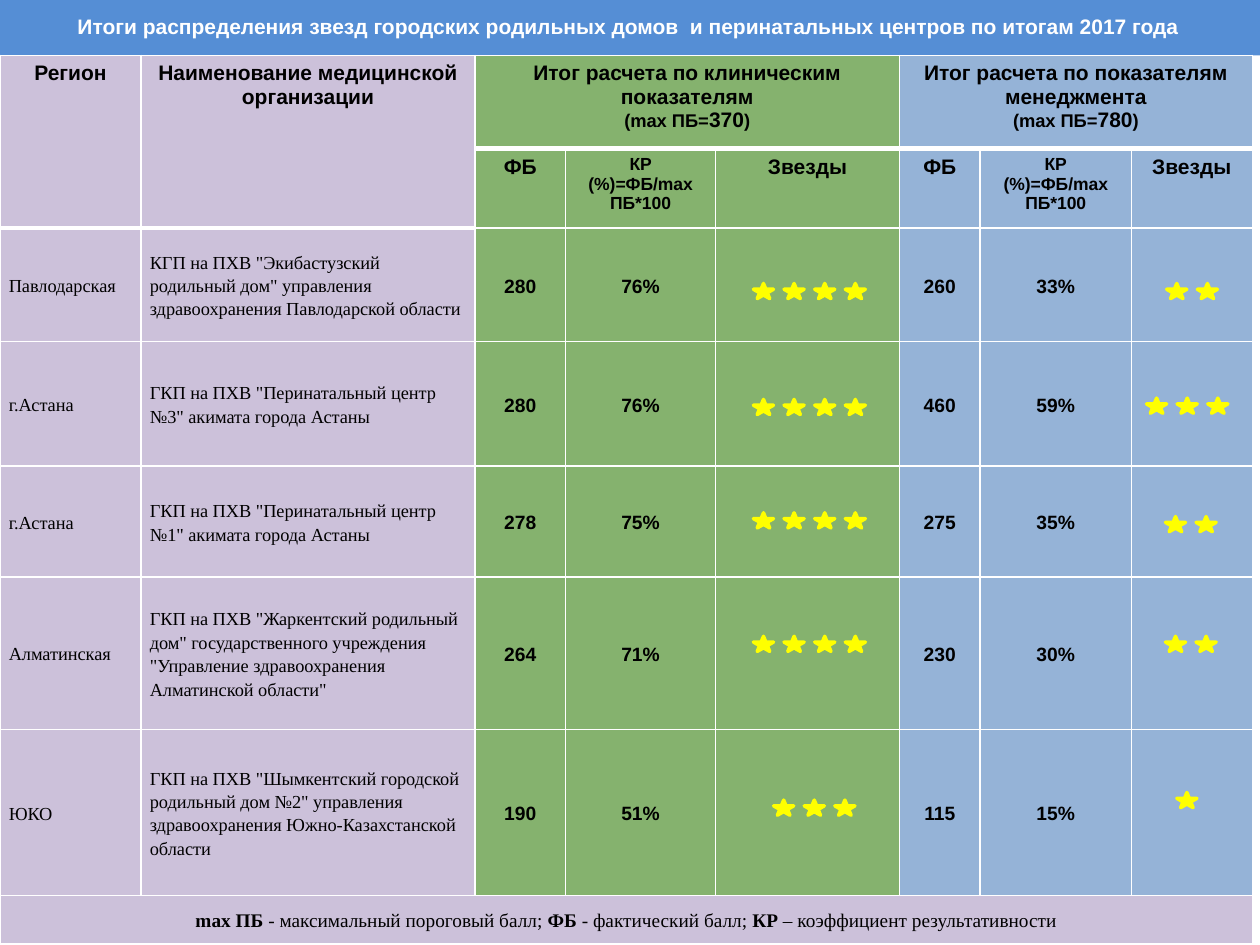
from typing import NamedTuple

from lxml.etree import SubElement
from pptx import Presentation
from pptx.dml.color import RGBColor
from pptx.enum.shapes import MSO_SHAPE as Shape
from pptx.enum.text import MSO_ANCHOR as Anchor, MSO_AUTO_SIZE as AutoSize, PP_ALIGN as Align
from pptx.oxml.ns import qn
from pptx.util import Inches, Pt

COLORS = {
    "title": "558ED5",
    "lilac": "CCC1DA",
    "green": "85B26E",
    "blue": "95B3D7",
    "white": "FFFFFF",
    "black": "000000",
    "star": "FFFF00",
}
SANS, SERIF = "Arial", "Times New Roman"
COL_WIDTHS = [1.12, 2.65, 0.72, 1.19, 1.46, 0.64, 1.2, 0.96]
ROW_HEIGHTS = [0.74, 0.63, 0.9, 0.99, 0.88, 1.21, 1.32, 0.38]
COL_FILLS = ["lilac"] * 2 + ["green"] * 3 + ["blue"] * 3
STAR_W, STAR_H, STAR_STEP = 0.16, 0.12, 0.243


class Run(NamedTuple):
    text: str
    size: float = 12
    font: str = SANS
    bold: bool = True


class Stars(NamedTuple):
    count: int
    left: float
    top: float


class Score(NamedTuple):
    points: int
    percent: int
    stars: Stars


class Hospital(NamedTuple):
    region: str
    name: str
    clinical: Score
    management: Score


HOSPITALS = [
    Hospital("Павлодарская",
             'КГП на ПХВ "Экибастузский родильный дом" управления здравоохранения Павлодарской области',
             Score(280, 76, Stars(4, 5.98, 2.25)), Score(260, 33, Stars(2, 9.26, 2.25))),
    Hospital("г.Астана", 'ГКП на ПХВ "Перинатальный центр №3" акимата города Астаны',
             Score(280, 76, Stars(4, 5.98, 3.17)), Score(460, 59, Stars(3, 9.1, 3.16))),
    Hospital("г.Астана", 'ГКП на ПХВ "Перинатальный центр №1" акимата города Астаны',
             Score(278, 75, Stars(4, 5.98, 4.07)), Score(275, 35, Stars(2, 9.25, 4.1))),
    Hospital("Алматинская",
             'ГКП на ПХВ "Жаркентский родильный дом" государственного учреждения '
             '"Управление здравоохранения Алматинской области"',
             Score(264, 71, Stars(4, 5.98, 5.05)), Score(230, 30, Stars(2, 9.25, 5.05))),
    Hospital("ЮКО",
             'ГКП на ПХВ "Шымкентский городской родильный дом №2" управления '
             'здравоохранения Южно-Казахстанской области',
             Score(190, 51, Stars(3, 6.14, 6.35)), Score(115, 15, Stars(1, 9.34, 6.29))),
]
LEGEND = [
    Run("mах ПБ ", 11, SERIF),
    Run("- максимальный пороговый балл; ", 11, SERIF, False),
    Run("ФБ", 11, SERIF),
    Run(" - фактический балл; ", 11, SERIF, False),
    Run("КР", 11, SERIF),
    Run(" – коэффициент результативности", 11, SERIF, False),
]


def rgb(name: str) -> RGBColor:
    return RGBColor.from_string(COLORS[name])


def write(p, runs: list[Run], align=Align.CENTER, color: str = "black") -> None:
    p.alignment = align
    for run in runs:
        r = p.add_run()
        r.text = run.text
        r.font.size, r.font.name, r.font.bold = Pt(run.size), run.font, run.bold
        r.font.color.rgb = rgb(color)


def style_cell(cell, fill: str, bottom: float = 1) -> None:
    tc_pr = cell._tc.get_or_add_tcPr()
    for side, width in (("L", 1), ("R", 1), ("T", 1), ("B", bottom)):
        ln = SubElement(tc_pr, qn(f"a:ln{side}"), w=str(Pt(width)))
        solid = SubElement(ln, qn("a:solidFill"))
        SubElement(solid, qn("a:srgbClr"), val=COLORS["white"])
    cell.fill.solid()
    cell.fill.fore_color.rgb = rgb(fill)


def write_header(cell, *lines: list[Run]) -> None:
    tf = cell.text_frame
    for i, runs in enumerate(lines):
        write(tf.add_paragraph() if i else tf.paragraphs[0], runs)


def write_body(cell, runs: list[Run], align=Align.CENTER) -> None:
    cell.vertical_anchor = Anchor.MIDDLE
    cell.margin_left = cell.margin_right = Inches(0.07)
    cell.margin_top = cell.margin_bottom = 0
    p = cell.text_frame.paragraphs[0]
    p.line_spacing = 1.15
    write(p, runs, align)


def add_title(s, text: str) -> None:
    sp = s.shapes.title
    sp.left, sp.top, sp.width, sp.height = (Inches(v) for v in (-0.02, -0.03, 10.02, 0.47))
    sp.fill.solid()
    sp.fill.fore_color.rgb = rgb("title")
    tf = sp.text_frame
    tf.auto_size = AutoSize.NONE
    tf.vertical_anchor = Anchor.MIDDLE
    write(tf.paragraphs[0], [Run(text)], color="white")


def add_stars(s, stars: Stars) -> None:
    shapes = s.shapes if stars.count == 1 else s.shapes.add_group_shape().shapes
    for i in range(stars.count):
        sp = shapes.add_shape(Shape.STAR_5_POINT, Inches(stars.left + i * STAR_STEP),
                              Inches(stars.top), Inches(STAR_W), Inches(STAR_H))
        sp.shadow.inherit = False
        sp.fill.solid()
        sp.fill.fore_color.rgb = rgb("star")
        sp.line.color.rgb = rgb("star")
        sp.line.width = Pt(2)


def add_score_table(s) -> None:
    n_rows, n_cols = len(ROW_HEIGHTS), len(COL_WIDTHS)
    table = s.shapes.add_table(n_rows, n_cols, 0, Inches(0.44), Inches(sum(COL_WIDTHS)),
                               Inches(sum(ROW_HEIGHTS))).table
    table.first_row = table.horz_banding = False
    for col, width in zip(table.columns, COL_WIDTHS):
        col.width = Inches(width)
    for row, height in zip(table.rows, ROW_HEIGHTS):
        row.height = Inches(height)
    last = n_rows - 1
    for r in range(n_rows):
        for c, fill in enumerate(COL_FILLS):
            style_cell(table.cell(r, c), "lilac" if r == last else fill, 1 if r else 3)

    for c, text in enumerate(["Регион", "Наименование медицинской организации"]):
        table.cell(0, c).merge(table.cell(1, c))
        write_header(table.cell(0, c), [Run(text)])
    for c, text, limit in ((2, "Итог расчета по клиническим показателям", "370"),
                           (5, "Итог расчета по показателям менеджмента", "780")):
        table.cell(0, c).merge(table.cell(0, c + 2))
        write_header(table.cell(0, c), [Run(text)],
                     [Run("(mах ПБ=", 10.5), Run(limit), Run(")", 10.5)])
        for i, run in enumerate([Run("ФБ"), Run("КР (%)=ФБ/mах ПБ*100", 10), Run("Звезды")]):
            write_header(table.cell(1, c + i), [run])

    for r, h in enumerate(HOSPITALS, start=2):
        for c, text in enumerate([h.region, h.name]):
            write_body(table.cell(r, c), [Run(text, 10.5, SERIF, False)], Align.LEFT)
        for c, score in ((2, h.clinical), (5, h.management)):
            write_body(table.cell(r, c), [Run(str(score.points), 11)])
            write_body(table.cell(r, c + 1), [Run(f"{score.percent}%", 11)])

    table.cell(last, 0).merge(table.cell(last, n_cols - 1))
    write_body(table.cell(last, 0), LEGEND)


def main() -> None:
    prs = Presentation()
    prs.slide_width, prs.slide_height = Inches(10), Inches(7.5)
    s = prs.slides.add_slide(prs.slide_layouts[5])
    add_title(s, "Итоги распределения звезд городских родильных домов  "
                 "и перинатальных центров по итогам 2017 года")
    add_score_table(s)
    for h in HOSPITALS:
        add_stars(s, h.clinical.stars)
        add_stars(s, h.management.stars)
    prs.save("out.pptx")


if __name__ == "__main__":
    main()
